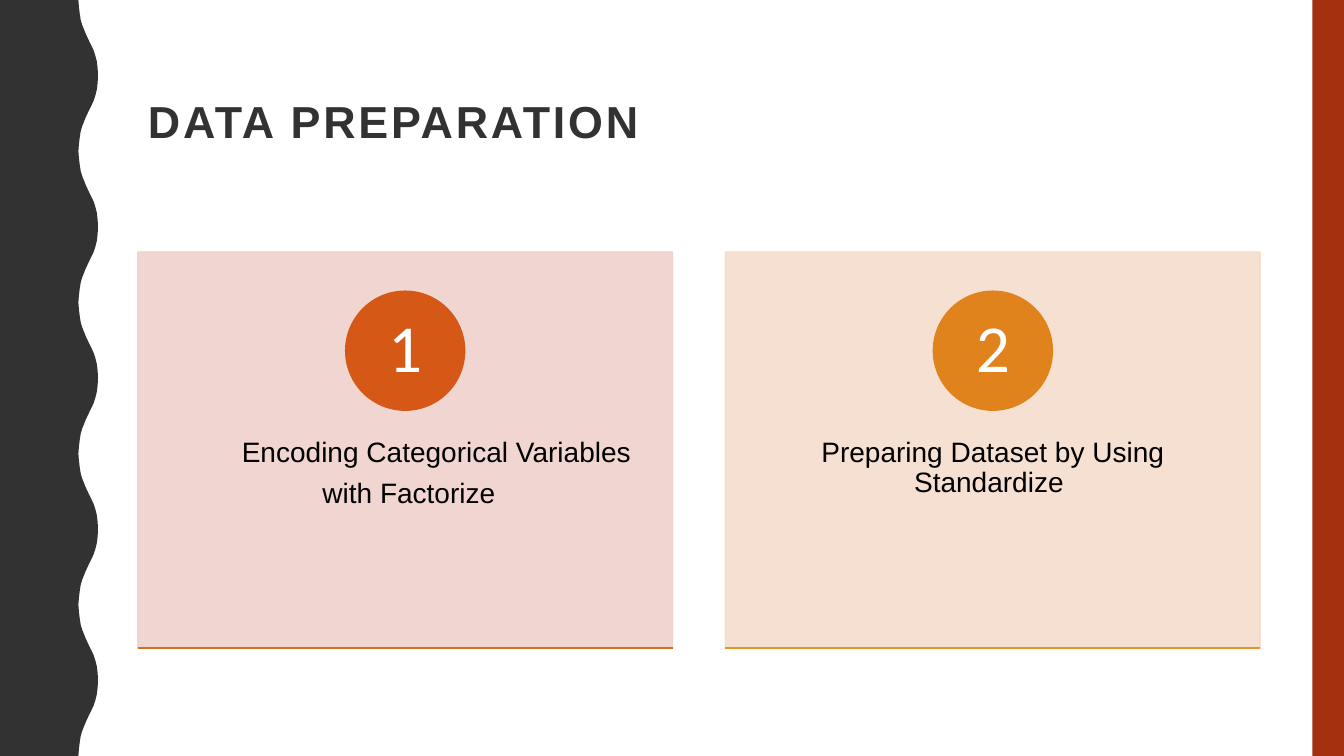
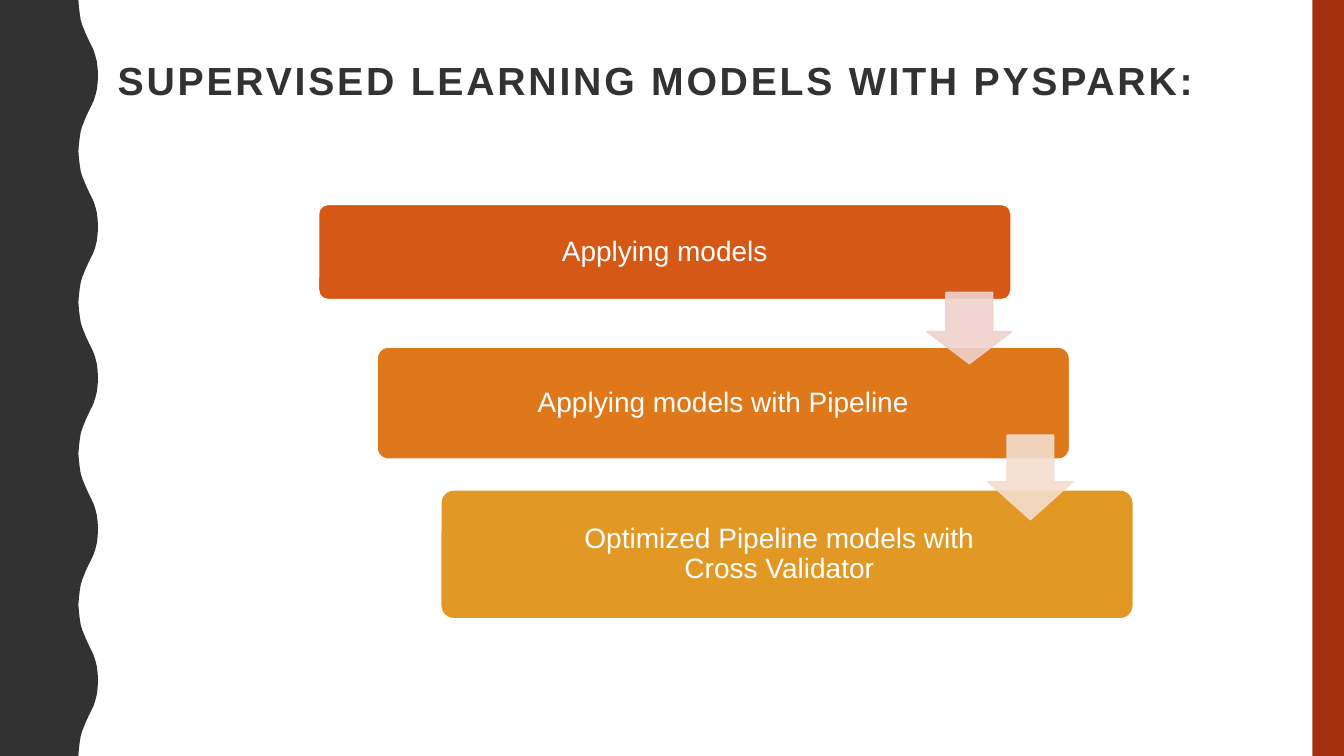
from dataclasses import dataclass

from lxml import etree
from pptx import Presentation
from pptx.dml.color import RGBColor
from pptx.enum.shapes import MSO_CONNECTOR, MSO_SHAPE
from pptx.enum.text import MSO_ANCHOR, PP_ALIGN
from pptx.oxml.ns import qn
from pptx.util import Pt

RECTANGLE = MSO_SHAPE.RECTANGLE
ROUNDED = MSO_SHAPE.ROUNDED_RECTANGLE
CIRCLE = MSO_SHAPE.OVAL
DOWN_ARROW = MSO_SHAPE.DOWN_ARROW
STRAIGHT = MSO_CONNECTOR.STRAIGHT
TOP, MIDDLE = MSO_ANCHOR.TOP, MSO_ANCHOR.MIDDLE
LEFT, CENTER, RIGHT = PP_ALIGN.LEFT, PP_ALIGN.CENTER, PP_ALIGN.RIGHT


@dataclass(frozen=True)
class Theme:
    width: int = 960
    height: int = 540
    charcoal: str = "323232"
    brick: str = "A5300F"
    rust: str = "D55816"
    orange: str = "DB6D19"
    tangerine: str = "DE781B"
    amber: str = "E1831C"
    gold: str = "E19825"
    rose: str = "EFD1CC"
    sand: str = "F4DDCD"
    white: str = "FFFFFF"
    black: str = "000000"
    font: str = "Arial"
    number_font: str = "Calibri"
    body_size: int = 20
    number_size: int = 48
    line_spacing: float = 0.9
    tint_opacity: int = 90


THEME = Theme()
WAVE_PERIOD = 108
HALF_WAVE = [
    (56, 0), (56.4, 5), (57, 10), (57.7, 14.4), (58.8, 18),
    (60, 21), (61.2, 24), (62.6, 27), (64, 30), (65.5, 33),
    (66.9, 36), (68.1, 39.6), (69.2, 44), (69.8, 49), (70, 54),
]


def paint(color_format, color, opacity=100):
    color_format.fore_color.rgb = RGBColor.from_string(color)
    if opacity < 100:
        for srgb in color_format._xPr.iter(qn("a:srgbClr")):
            etree.SubElement(srgb, qn("a:alpha")).set("val", str(opacity * 1000))


def add_block(slide, preset, box, color, outline=None, opacity=100, adjustments=()):
    block = slide.shapes.add_shape(preset, *map(Pt, box))
    block.shadow.inherit = False
    block.fill.solid()
    paint(block.fill, color, opacity)
    if outline:
        block.line.width = Pt(1)
        block.line.fill.solid()
        paint(block.line.fill, outline, opacity)
    else:
        block.line.fill.background()
    for position, value in enumerate(adjustments):
        block.adjustments[position] = value
    return block


def write(holder, lines, color, size, font=THEME.font, aligns=(CENTER,),
          anchor=MIDDLE, margins=(0, 0, 0, 0), gap=0, bold=False, tracking=0):
    frame = holder.text_frame
    frame.word_wrap = True
    frame.vertical_anchor = anchor
    (frame.margin_left, frame.margin_top,
     frame.margin_right, frame.margin_bottom) = map(Pt, margins)
    frame.text = "\n".join(lines)
    for paragraph, align in zip(frame.paragraphs, aligns):
        paragraph.alignment = align
        paragraph.line_spacing = THEME.line_spacing
        paragraph.space_after = Pt(gap)
        for run in paragraph.runs:
            run.font.name = font
            run.font.size = Pt(size)
            run.font.bold = bold
            run.font.color.rgb = RGBColor.from_string(color)
            if tracking:
                run._r.get_or_add_rPr().set("spc", str(tracking * 100))


def add_wave(slide):
    period = HALF_WAVE + [(x, WAVE_PERIOD - y) for x, y in HALF_WAVE[-2:0:-1]]
    edge = [(x, y + start)
            for start in range(0, THEME.height, WAVE_PERIOD) for x, y in period]
    outline = edge + [(HALF_WAVE[0][0], THEME.height), (0, THEME.height)]
    builder = slide.shapes.build_freeform(Pt(0), Pt(0))
    builder.add_line_segments([(Pt(x), Pt(y)) for x, y in outline])
    wave = builder.convert_to_shape()
    wave.shadow.inherit = False
    wave.fill.solid()
    paint(wave.fill, THEME.charcoal)
    wave.line.fill.background()


def start_slide(deck, title, box, size):
    slide = deck.slides.add_slide(deck.slide_layouts[6])
    add_wave(slide)
    add_block(slide, RECTANGLE, (937.5, 0, 22.5, THEME.height), THEME.brick)
    heading = slide.shapes.add_textbox(*map(Pt, box))
    write(heading, [title], THEME.charcoal, size, aligns=(LEFT,),
          margins=(7.2, 3.6, 7.2, 3.6), bold=True, tracking=2)
    return slide


def add_rule(slide, left, right, y, color):
    rule = slide.shapes.add_connector(STRAIGHT, Pt(left), Pt(y), Pt(right), Pt(y))
    rule.line.width = Pt(1)
    rule.line.color.rgb = RGBColor.from_string(color)
    etree.SubElement(rule._element.spPr, qn("a:effectLst"))


def add_card(slide, left, number, lines, aligns, tint, accent, rule_color):
    top, width, height, diameter = 180, 382, 283, 85
    panel = add_block(slide, RECTANGLE, (left, top, width, height),
                      tint, tint, THEME.tint_opacity)
    write(panel, lines, THEME.black, THEME.body_size, aligns=aligns, anchor=TOP,
          margins=(29.5, 133, 29.5, 26), gap=8)
    badge = add_block(slide, CIRCLE,
                      (left + (width - diameter) / 2, top + 28, diameter, diameter),
                      accent, accent)
    write(badge, [number], THEME.white, THEME.number_size, THEME.number_font)
    add_rule(slide, left, left + width, top + height, rule_color)


def add_step(slide, index, left, label, color, margins):
    step = add_block(slide, ROUNDED, (left, 146 + 102 * index, 494.6, 68 + 12 * index),
                     color, THEME.white, adjustments=(0.1,))
    write(step, [label], THEME.white, THEME.body_size, margins=margins)


def add_step_arrow(slide, index, left, height, tint):
    add_block(slide, DOWN_ARROW, (left, 208.8 + 102 * index, 60.8, height),
              tint, tint, THEME.tint_opacity, (0.55, 0.45))


def build_preparation(deck):
    slide = start_slide(deck, "DATA PREPARATION", (98.6, 30, 801.4, 117.4), 32)
    add_card(slide, 98.4, "1", ["Encoding Categorical Variables", " with Factorize"],
             (RIGHT, CENTER), THEME.rose, THEME.rust, THEME.orange)
    add_card(slide, 518.2, "2", ["Preparing Dataset by Using Standardize "],
             (CENTER,), THEME.sand, THEME.amber, THEME.gold)


def build_models(deck):
    slide = start_slide(deck, "SUPERVISED LEARNING MODELS WITH PYSPARK:",
                        (77, 30, 857, 58.3), 28)
    even, narrow = (6, 6, 6, 6), (98, 6, 109, 6)
    steps = [
        (227.6, "Applying models", THEME.rust, even),
        (269.4, "Applying models with Pipeline", THEME.tangerine, even),
        (314.9, "Optimized Pipeline models with Cross Validator", THEME.gold, narrow),
    ]
    for index, step in enumerate(steps):
        add_step(slide, index, *step)
    arrows = [(662, 51, THEME.rose), (705.6, 60.5, THEME.sand)]
    for index, arrow in enumerate(arrows):
        add_step_arrow(slide, index, *arrow)


def main():
    deck = Presentation()
    deck.slide_width = Pt(THEME.width)
    deck.slide_height = Pt(THEME.height)
    build_preparation(deck)
    build_models(deck)
    deck.save("out.pptx")


if __name__ == "__main__":
    main()
